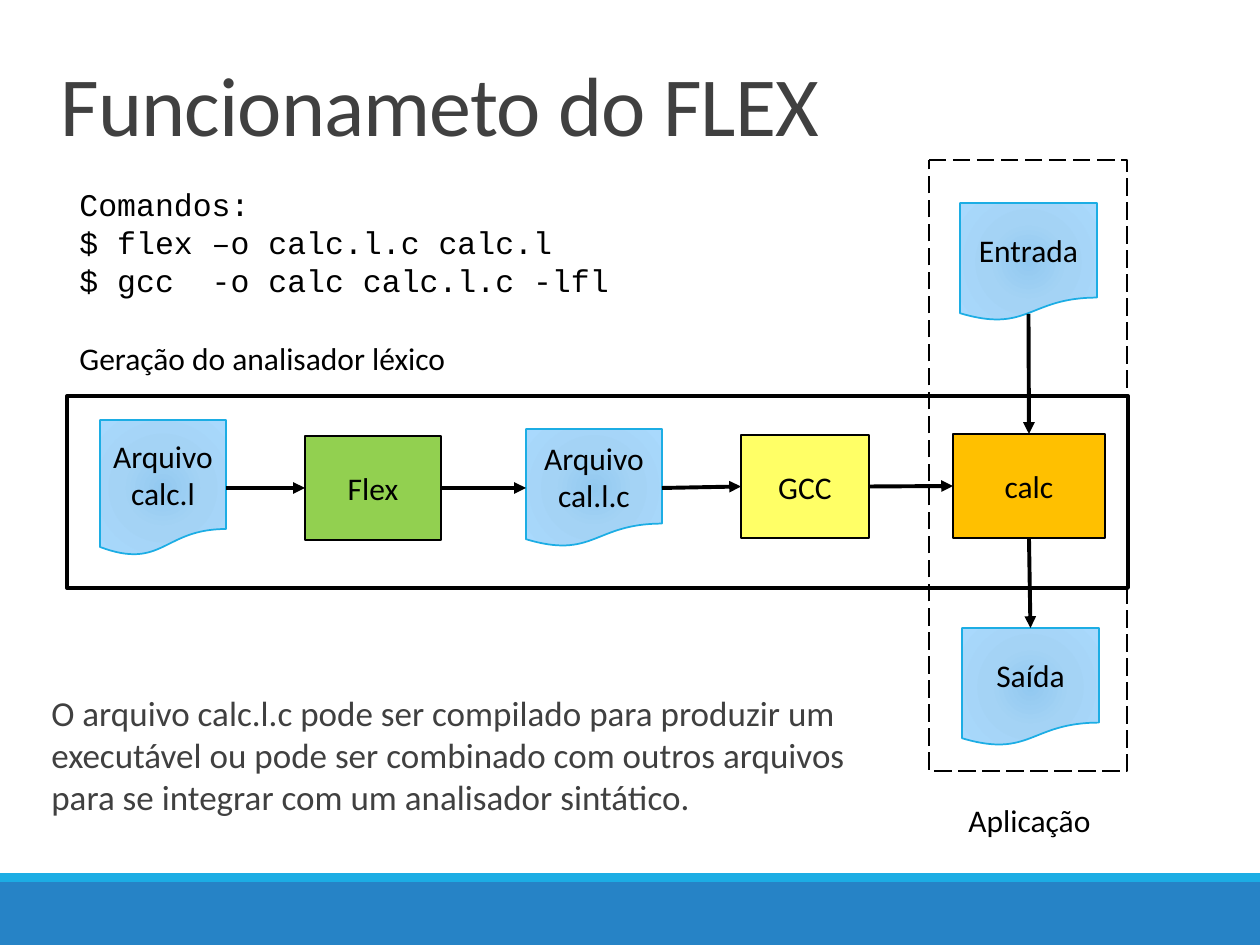
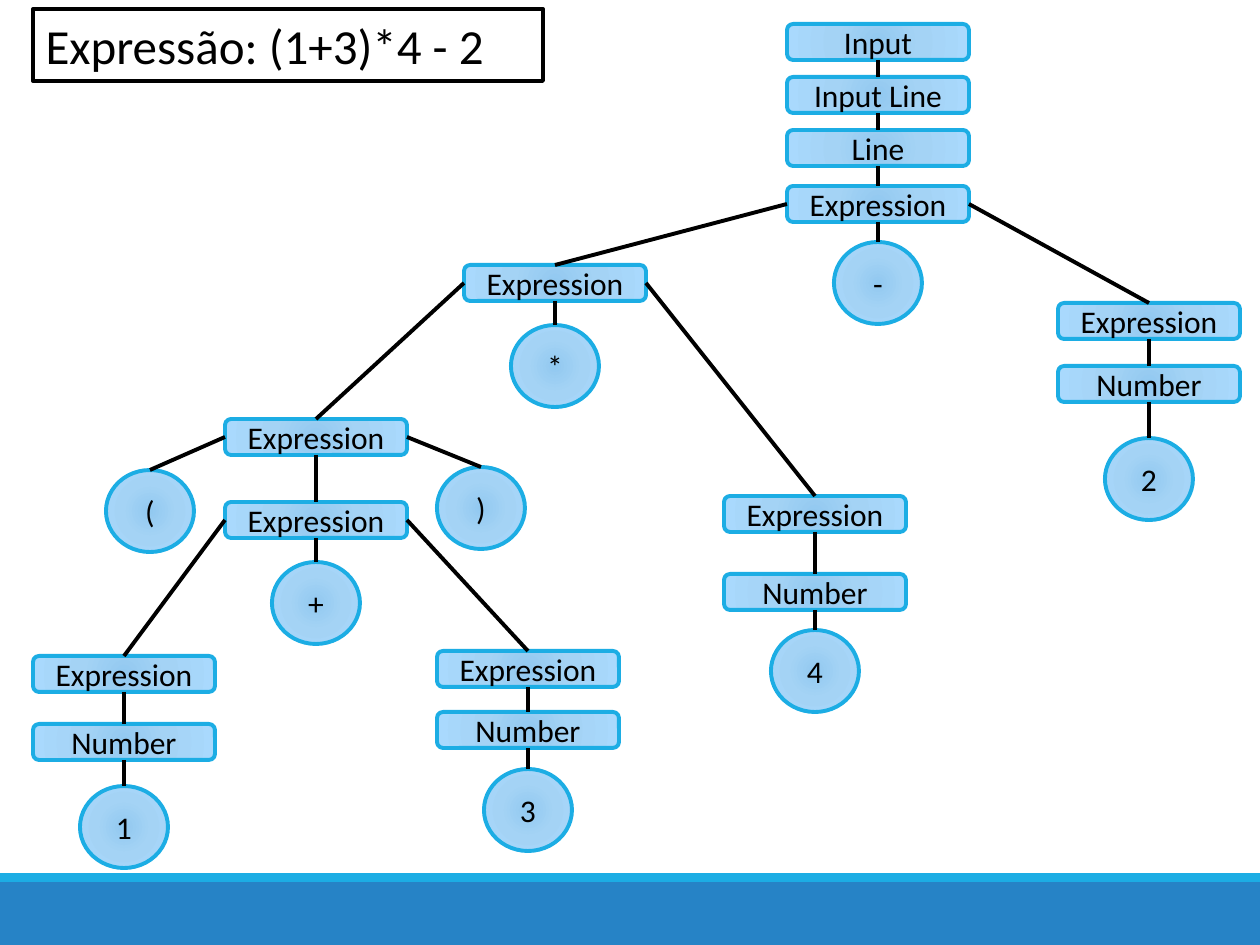
from dataclasses import dataclass
from typing import NamedTuple

from lxml.etree import SubElement
from pptx import Presentation
from pptx.dml.color import RGBColor
from pptx.enum.dml import MSO_LINE
from pptx.enum.shapes import MSO_CONNECTOR, MSO_SHAPE as Preset
from pptx.enum.text import MSO_ANCHOR as Anchor, MSO_AUTO_SIZE as AutoSize, PP_ALIGN as Align
from pptx.oxml import parse_xml
from pptx.oxml.ns import nsdecls, qn
from pptx.shapes.autoshape import Shape
from pptx.shapes.connector import Connector
from pptx.slide import Slide
from pptx.text.text import TextFrame
from pptx.util import Emu, Pt

EMU_PER_PX = 914400 / 126
BLACK, WHITE, GRAY = "000000", "FFFFFF", "404040"
BLUE, CYAN = "2683C6", "1CADE4"
SKY = ((0, "92C9F0"), (45, "A4D3F5"), (100, "A9D9FD"))
SANS, MONO = "Calibri", "Courier New"
TOP, LEFT, BOTTOM, RIGHT = range(4)  # connection sites
PILL_W, PILL_H = 182, 36
TOKEN_W, TOKEN_H = 88, 82


class Box(NamedTuple):
    left: int
    top: int
    width: int
    height: int


@dataclass(frozen=True)
class Look:
    preset: Preset
    fill: str | tuple | None = None
    line: str | None = BLACK
    weight: float = 1
    dash: MSO_LINE | None = None


@dataclass(frozen=True)
class Font:
    size: int = 18
    face: str = SANS
    color: str = BLACK


@dataclass(frozen=True)
class Step:
    text: str
    box: Box
    look: Look


@dataclass(frozen=True)
class Caption:
    text: str
    box: Box
    font: Font = Font()
    wrap: bool = True


@dataclass(frozen=True)
class Node:
    label: str
    center: int
    top: int
    children: tuple["Node", ...] = ()


def px(length: int) -> Emu:
    return Emu(round(length * EMU_PER_PX))


def rgb(color: str) -> RGBColor:
    return RGBColor.from_string(color)


def place(shape: Shape, box: Box) -> None:
    shape.left, shape.top, shape.width, shape.height = map(px, box)


def write(frame: TextFrame, text: str, font: Font, align: Align = Align.LEFT) -> None:
    frame.text = text
    for paragraph in frame.paragraphs:
        paragraph.alignment = align
        for run in paragraph.runs:
            run.font.size = Pt(font.size)
            run.font.name = font.face
            run.font.color.rgb = rgb(font.color)


def paint_radial(shape: Shape, stops: tuple) -> None:
    """Replace the solid fill by a circular gradient."""
    shape.fill.solid()
    marks = "".join(
        f'<a:gs pos="{pos * 1000}"><a:srgbClr val="{color}"/></a:gs>' for pos, color in stops
    )
    gradient = parse_xml(
        f'<a:gradFill {nsdecls("a")} rotWithShape="1"><a:gsLst>{marks}</a:gsLst>'
        '<a:path path="circle"><a:fillToRect l="100000" t="100000" r="100000" b="100000"/>'
        "</a:path></a:gradFill>"
    )
    properties = shape.element.spPr
    properties.replace(properties.find(qn("a:solidFill")), gradient)


def draw(slide: Slide, box: Box, look: Look, text: str = "") -> Shape:
    shape = slide.shapes.add_shape(look.preset, *map(px, box))
    shape.shadow.inherit = False
    if look.fill is None:
        shape.fill.background()
    elif isinstance(look.fill, tuple):
        paint_radial(shape, look.fill)
    else:
        shape.fill.solid()
        shape.fill.fore_color.rgb = rgb(look.fill)
    if look.line is None:
        shape.line.fill.background()
    else:
        shape.line.color.rgb = rgb(look.line)
        shape.line.width = Pt(look.weight)
        if look.dash is not None:
            shape.line.dash_style = look.dash
    if text:
        shape.text_frame.vertical_anchor = Anchor.MIDDLE
        write(shape.text_frame, text, Font(), Align.CENTER)
    return shape


def connect(slide: Slide, start: Shape, start_site: int, end: Shape, end_site: int,
            arrow: bool = False) -> Connector:
    link = slide.shapes.add_connector(MSO_CONNECTOR.STRAIGHT, 0, 0, 0, 0)
    link.begin_connect(start, start_site)
    link.end_connect(end, end_site)
    link.line.color.rgb = rgb(BLACK)
    link.line.width = Pt(2.25)
    properties = link.element.spPr
    if arrow:
        SubElement(properties.find(qn("a:ln")), qn("a:tailEnd"), type="triangle")
    SubElement(properties, qn("a:effectLst"))
    return link


def add_caption(slide: Slide, caption: Caption) -> None:
    frame = slide.shapes.add_textbox(*map(px, caption.box)).text_frame
    frame.word_wrap = caption.wrap
    write(frame, caption.text, caption.font)


def set_title(slide: Slide, text: str, box: Box, font: Font, anchor: Anchor) -> Shape:
    title = slide.shapes.title
    place(title, box)
    frame = title.text_frame
    frame.auto_size = AutoSize.NONE
    frame.vertical_anchor = anchor
    write(frame, text, font)
    return title


# Bands shared by every slide
BANDS = (
    (Box(0, 882, 1260, 63), Look(Preset.RECTANGLE, BLUE, None)),
    (Box(0, 873, 1260, 9), Look(Preset.RECTANGLE, CYAN, None)),
)


def add_master_bands(slide: Slide) -> None:
    """Draw the bands and move them behind everything on the master."""
    master_tree = slide.slide_layout.slide_master.shapes.element
    for index, (box, look) in enumerate(BANDS):
        band = draw(slide, box, look).element
        band.nvSpPr.cNvPr.set("id", str(100 + index))
        master_tree.insert(2 + index, band)


# Slide 1: from the Flex file to the application
DOCUMENT = Look(Preset.FLOWCHART_DOCUMENT, SKY, CYAN)
GENERATION = (Box(67, 396, 1061, 192), Look(Preset.RECTANGLE, WHITE, weight=2.25))
APPLICATION = (
    Box(929, 160, 198, 611),
    Look(Preset.FLOWCHART_PROCESS, weight=1.25, dash=MSO_LINE.LONG_DASH),
)


def process(fill: str) -> Look:
    return Look(Preset.FLOWCHART_PROCESS, fill)


PIPELINE = (
    Step("Arquivo calc.l", Box(100, 420, 126, 136), DOCUMENT),
    Step("Flex", Box(305, 436, 136, 104), process("92D050")),
    Step("Arquivo\ncal.l.c", Box(526, 429, 136, 118), DOCUMENT),
    Step("GCC", Box(741, 435, 128, 103), process("FFFF66")),
    Step("calc", Box(953, 434, 152, 104), process("FFC000")),
)
ENTRADA = Step("Entrada", Box(960, 203, 137, 118), DOCUMENT)
SAIDA = Step("Saída", Box(962, 628, 137, 118), DOCUMENT)
ENTRADA_EDGE = 314  # the wavy edge lies above the bottom of its box

CAPTIONS = (
    Caption("Geração do analisador léxico", Box(67, 333, 396, 50), wrap=False),
    Caption("Aplicação", Box(956, 795, 149, 50), wrap=False),
    Caption(
        "Comandos:\n$ flex –o calc.l.c calc.l\n$ gcc  -o calc calc.l.c -lfl",
        Box(67, 179, 648, 127), Font(face=MONO),
    ),
    Caption(
        "O arquivo calc.l.c pode ser compilado para produzir um executável ou pode ser "
        "combinado com outros arquivos para se integrar com um analisador sintático.",
        Box(39, 685, 858, 140), Font(20, color=GRAY),
    ),
)


def build_flex(slide: Slide) -> None:
    title = set_title(slide, "Funcionameto do FLEX", Box(48, 16, 1040, 144),
                      Font(48, color=GRAY), Anchor.BOTTOM)
    heading = title.text_frame.paragraphs[0]
    heading.line_spacing = 0.85
    heading.runs[0].font.element.set("spc", "-50") if hasattr(
        heading.runs[0].font, "element") else heading.runs[0]._r.get_or_add_rPr().set("spc", "-50")

    draw(slide, *GENERATION)
    draw(slide, *APPLICATION)
    steps = [draw(slide, step.box, step.look, step.text) for step in PIPELINE]
    for source, target in zip(steps, steps[1:]):
        connect(slide, source, RIGHT, target, LEFT, arrow=True)

    calc = steps[-1]
    entrada, saida = (draw(slide, step.box, step.look, step.text) for step in (ENTRADA, SAIDA))
    feed = connect(slide, entrada, BOTTOM, calc, TOP, arrow=True)
    feed.begin_y = px(ENTRADA_EDGE)
    connect(slide, calc, BOTTOM, saida, TOP, arrow=True)

    for caption in CAPTIONS:
        add_caption(slide, caption)


# Slide 2: syntax tree
def number(digit: str, center: int, *tops: int) -> Node:
    """Chain of expression, number and digit, at the three given heights."""
    expression_top, number_top, digit_top = tops
    token = Node(digit, center, digit_top)
    return Node("Expression", center, expression_top,
                (Node("Number", center, number_top, (token,)),))


SUM = Node("Expression", 316, 502, (
    number("1", 124, 656, 724, 786),
    Node("+", 316, 562),
    number("3", 528, 651, 712, 769),
))
PARENTHESES = Node("Expression", 316, 419, (Node("(", 150, 470), SUM, Node(")", 481, 467)))
PRODUCT = Node("Expression", 555, 265, (
    PARENTHESES, Node("*", 555, 325), number("4", 815, 496, 574, 630),
))
DIFFERENCE = Node("Expression", 878, 186, (
    PRODUCT, Node("-", 878, 242), number("2", 1149, 303, 366, 438),
))
TREE = Node("Input", 878, 24, (
    Node("Input Line", 878, 77, (Node("Line", 878, 130, (DIFFERENCE,)),)),
))
RULE = Look(Preset.ROUNDED_RECTANGLE, SKY, CYAN, 2.25)
TOKEN = Look(Preset.OVAL, SKY, CYAN, 2.25)


def draw_tree(slide: Slide, node: Node) -> Shape:
    """Draw a node, then its branches; leaves are tokens."""
    look, width, height = (RULE, PILL_W, PILL_H) if node.children else (TOKEN, TOKEN_W, TOKEN_H)
    box = Box(node.center - width // 2, node.top, width, height)
    parent = draw(slide, box, look, node.label)
    for child in node.children:
        if child.center < node.center:
            site = LEFT
        elif child.center > node.center:
            site = RIGHT
        else:
            site = BOTTOM
        connect(slide, parent, site, draw_tree(slide, child), TOP)
    return parent


def build_tree(slide: Slide) -> None:
    expression = set_title(slide, "Expressão: (1+3)*4 - 2", Box(33, 9, 510, 72),
                           Font(28), Anchor.TOP)
    expression.line.color.rgb = rgb(BLACK)
    expression.line.width = Pt(2.25)
    draw_tree(slide, TREE)


def main() -> None:
    deck = Presentation()
    deck.slide_width, deck.slide_height = px(1260), px(945)
    title_only = deck.slide_layouts[5]
    flex, tree = (deck.slides.add_slide(title_only) for _ in range(2))
    add_master_bands(flex)
    build_flex(flex)
    build_tree(tree)
    deck.save("out.pptx")


if __name__ == "__main__":
    main()
